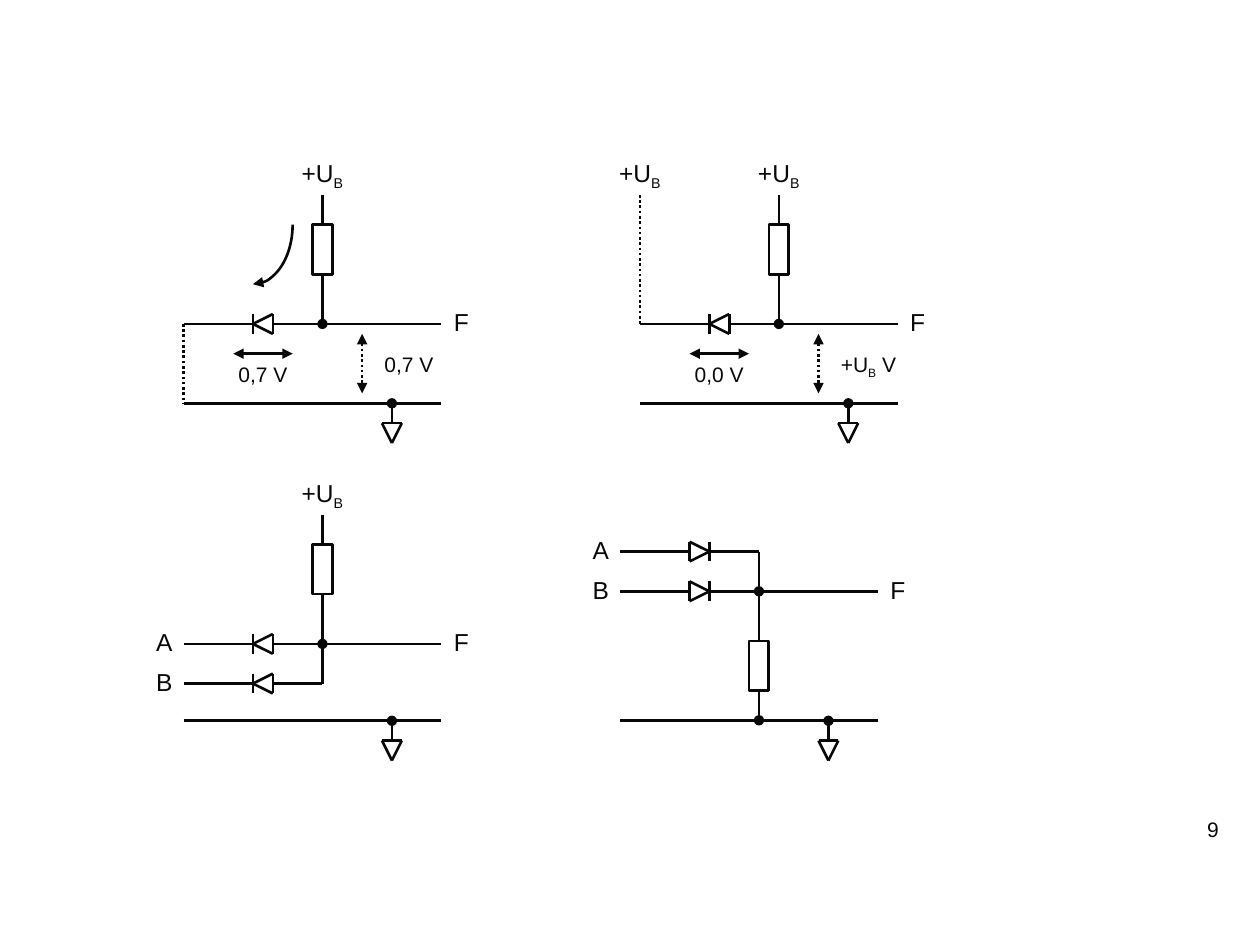
from dataclasses import dataclass

from lxml.etree import SubElement
from pptx import Presentation
from pptx.dml.color import RGBColor
from pptx.enum.dml import MSO_LINE
from pptx.enum.shapes import MSO_CONNECTOR, MSO_SHAPE
from pptx.enum.text import MSO_AUTO_SIZE as AutoSize, PP_ALIGN as Align
from pptx.oxml.ns import qn
from pptx.util import Cm, Pt

INK = RGBColor(0x08, 0x08, 0x08)
FONT = "Arial"
LINE_WIDTH = Pt(1.5)
SUPPLY = ("+U", "_B")

DIODE_START, DIODE_END, NODE, GROUND, WIDTH = 1.4, 1.8, 2.8, 4.2, 5.2
RESISTOR_NEAR, RESISTOR_FAR, SUPPLY_REACH = 1.0, 2.0, 2.6
ROW_GAP = 0.8
HALF = 0.2


@dataclass(frozen=True)
class Circuit:
    left: float
    wire: float
    rail: float
    pull_up: bool = True

    @property
    def node(self) -> float:
        return self.left + NODE

    @property
    def right(self) -> float:
        return self.left + WIDTH


@dataclass(frozen=True)
class Label:
    spans: tuple[str, ...]
    left: float
    top: float
    width: float
    height: float
    align: Align = Align.LEFT
    size: float = 14
    before: float = 8.8
    grow: bool = True


LOW_INPUT = Circuit(3.7, 6.53, 8.13)
HIGH_INPUT = Circuit(12.9, 6.53, 8.13)
AND_GATE = Circuit(3.7, 12.98, 14.53)
OR_GATE = Circuit(12.5, 11.92, 14.53, pull_up=False)


def style_line(shape, head: str = "", tail: str = "", dotted: bool = False) -> None:
    line = shape.line
    line.color.rgb = INK
    line.width = LINE_WIDTH
    if dotted:
        line.dash_style = MSO_LINE.ROUND_DOT
    outline = shape._element.spPr.find(qn("a:ln"))
    for tag, kind in (("a:headEnd", head), ("a:tailEnd", tail)):
        if kind:
            SubElement(outline, qn(tag), type=kind)


def draw_line(shapes, x1: float, y1: float, x2: float, y2: float,
              head: str = "", tail: str = "", dotted: bool = False) -> None:
    connector = shapes.add_connector(
        MSO_CONNECTOR.STRAIGHT, Cm(x1), Cm(y1), Cm(x2), Cm(y2))
    style_line(connector, head, tail, dotted)
    SubElement(connector._element.spPr, qn("a:effectLst"))


def draw_triangle(shapes, *corners: tuple[float, float]) -> None:
    for start, end in zip(corners, corners[1:] + corners[:1]):
        draw_line(shapes, *start, *end)


def draw_shape(shapes, kind: MSO_SHAPE, left: float, top: float,
               width: float, height: float):
    shape = shapes.add_shape(kind, Cm(left), Cm(top), Cm(width), Cm(height))
    shape.shadow.inherit = False
    shape.fill.background()
    return shape


def draw_label(shapes, label: Label) -> None:
    box = shapes.add_textbox(
        Cm(label.left), Cm(label.top), Cm(label.width), Cm(label.height))
    frame = box.text_frame
    frame.word_wrap = True
    frame.auto_size = AutoSize.SHAPE_TO_FIT_TEXT if label.grow else AutoSize.NONE
    para = frame.paragraphs[0]
    para.alignment = label.align
    para.space_before = Pt(label.before)
    for text in label.spans:
        span = para.add_run()
        span.text = text.removeprefix("_")
        span.font.name = FONT
        span.font.size = Pt(label.size)
        span.font.color.rgb = INK
        if text.startswith("_"):
            span._r.get_or_add_rPr().set("baseline", "-25000")


def draw_supply(shapes, x: float, wire: float) -> None:
    top = wire - SUPPLY_REACH - 0.87
    draw_label(shapes, Label(SUPPLY, x - 0.8, top, 1.6, 0.94, Align.CENTER))


def draw_terminal(shapes, text: str, x: float, y: float, align: Align) -> None:
    left = x if align == Align.LEFT else x - 0.8
    draw_label(shapes, Label((text,), left, y - 0.46, 0.8, 0.86, align))


def draw_diode_row(shapes, circuit: Circuit, y: float, end: float) -> None:
    start, stop = circuit.left + DIODE_START, circuit.left + DIODE_END
    tip, base = (start, stop) if circuit.pull_up else (stop, start)
    diode = shapes.add_group_shape().shapes
    draw_triangle(diode, (base, y - HALF), (base, y + HALF), (tip, y))
    draw_line(diode, tip, y - HALF, tip, y + HALF)
    draw_line(shapes, circuit.left, y, start, y)
    draw_line(shapes, stop, y, end, y)


def draw_circuit(shapes, circuit: Circuit) -> None:
    node, wire, rail = circuit.node, circuit.wire, circuit.rail
    side = -1 if circuit.pull_up else 1
    near, far, end = (wire + side * reach
                      for reach in (RESISTOR_NEAR, RESISTOR_FAR, SUPPLY_REACH))
    resistor = draw_shape(
        shapes, MSO_SHAPE.RECTANGLE, node - HALF, min(near, far), 2 * HALF, 1.0)
    style_line(resistor)
    draw_line(shapes, node, near, node, wire, tail="oval")
    draw_line(shapes, node, end, node, far, head="" if circuit.pull_up else "oval")
    if circuit.pull_up:
        draw_supply(shapes, node, wire)
    draw_diode_row(shapes, circuit, wire, circuit.right)
    draw_terminal(shapes, "F", circuit.right, wire, Align.LEFT)

    ground, top = circuit.left + GROUND, rail + 0.4
    draw_line(shapes, circuit.left, rail, circuit.right, rail)
    draw_line(shapes, ground, rail, ground, top, head="oval")
    draw_triangle(shapes, (ground - HALF, top), (ground + HALF, top),
                  (ground, top + 0.4))


def draw_voltages(shapes, circuit: Circuit, diode: str, output: tuple[str, ...]) -> None:
    left, wire = circuit.left, circuit.wire
    arrows = {"head": "triangle", "tail": "triangle"}
    draw_line(shapes, left + 1.0, wire + 0.6, left + 2.2, wire + 0.6, **arrows)
    draw_line(shapes, left + 3.6, wire + 0.2, left + 3.6, wire + 1.4,
              dotted=True, **arrows)
    draw_label(shapes, Label((diode,), left + 0.8, wire + 0.64, 1.6, 0.76,
                             Align.CENTER, 12, 7.5))
    draw_label(shapes, Label(output, left + 3.8, wire + 0.43, 1.8, 0.76,
                             size=12, before=7.5))


def draw_gate_inputs(shapes, gate: Circuit, second_row: float) -> None:
    draw_diode_row(shapes, gate, second_row, gate.node)
    draw_line(shapes, gate.node, second_row, gate.node, gate.wire)
    for name, y in zip("AB", sorted((gate.wire, second_row))):
        draw_terminal(shapes, name, gate.left, y, Align.RIGHT)


def draw_current(shapes, circuit: Circuit) -> None:
    arc = draw_shape(shapes, MSO_SHAPE.ARC, circuit.left + 0.6,
                     circuit.wire - 3.2, 1.6, 2.4)
    arc.adjustments[0] = 0
    arc.adjustments[1] = 54
    style_line(arc, tail="triangle")


def main() -> None:
    deck = Presentation()
    deck.slide_width, deck.slide_height = Cm(25.4), Cm(19.05)
    page = deck.slides.add_slide(deck.slide_layouts[6])
    shapes = page.shapes

    for circuit in (LOW_INPUT, HIGH_INPUT, AND_GATE, OR_GATE):
        draw_circuit(shapes, circuit)

    draw_current(shapes, LOW_INPUT)
    draw_voltages(shapes, LOW_INPUT, "0,7 V", ("0,7 V",))
    draw_line(shapes, LOW_INPUT.left, LOW_INPUT.wire,
              LOW_INPUT.left, LOW_INPUT.rail, dotted=True)

    draw_voltages(shapes, HIGH_INPUT, "0,0 V", (*SUPPLY, " V"))
    draw_supply(shapes, HIGH_INPUT.left, HIGH_INPUT.wire)
    draw_line(shapes, HIGH_INPUT.left, HIGH_INPUT.wire - SUPPLY_REACH,
              HIGH_INPUT.left, HIGH_INPUT.wire, dotted=True)

    draw_gate_inputs(shapes, AND_GATE, AND_GATE.wire + ROW_GAP)
    draw_gate_inputs(shapes, OR_GATE, OR_GATE.wire - ROW_GAP)
    draw_label(shapes, Label(("9",), 18.9, 16.33, 5.92, 1.32, Align.RIGHT,
                             12, 0, grow=False))
    deck.save("out.pptx")


if __name__ == "__main__":
    main()
